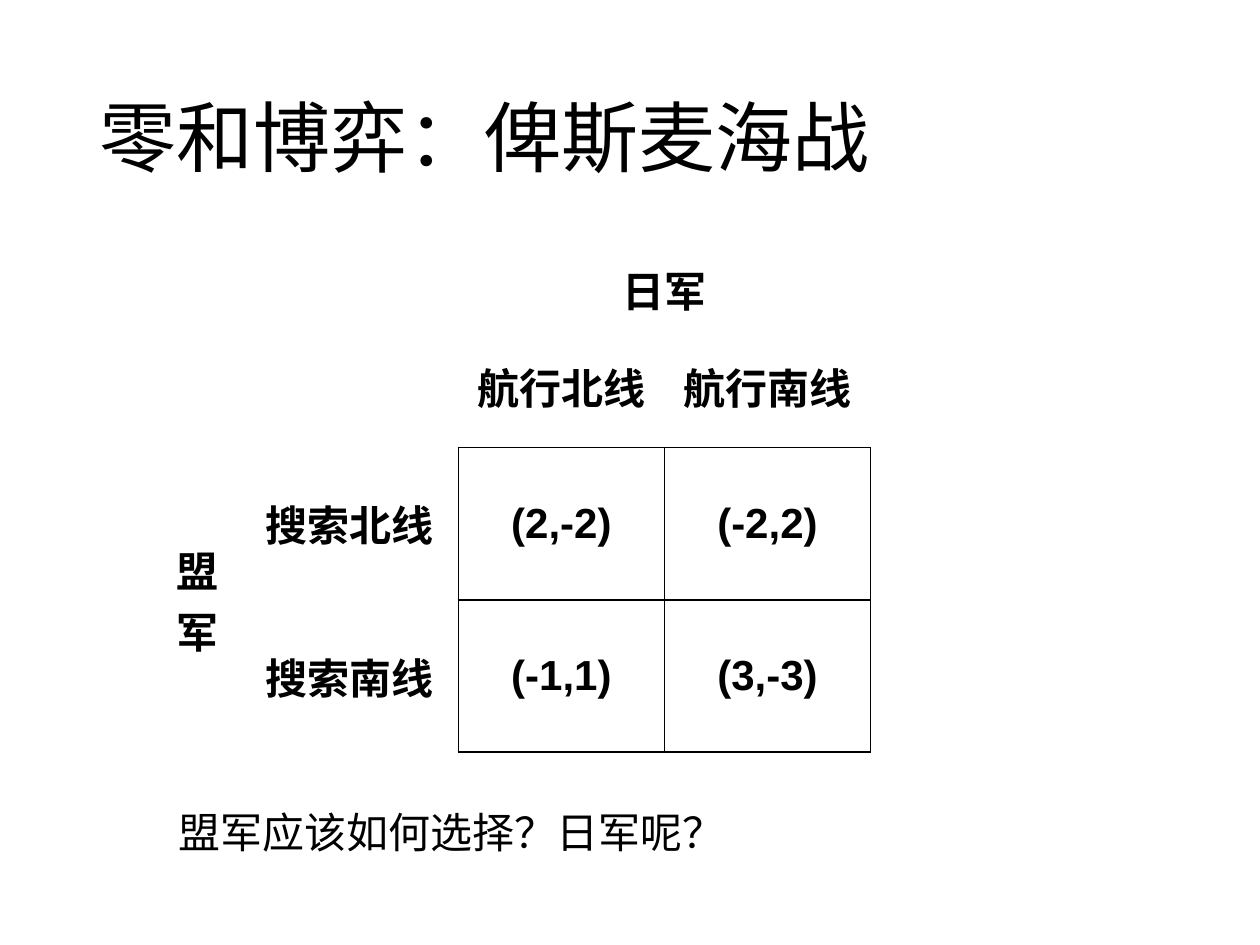
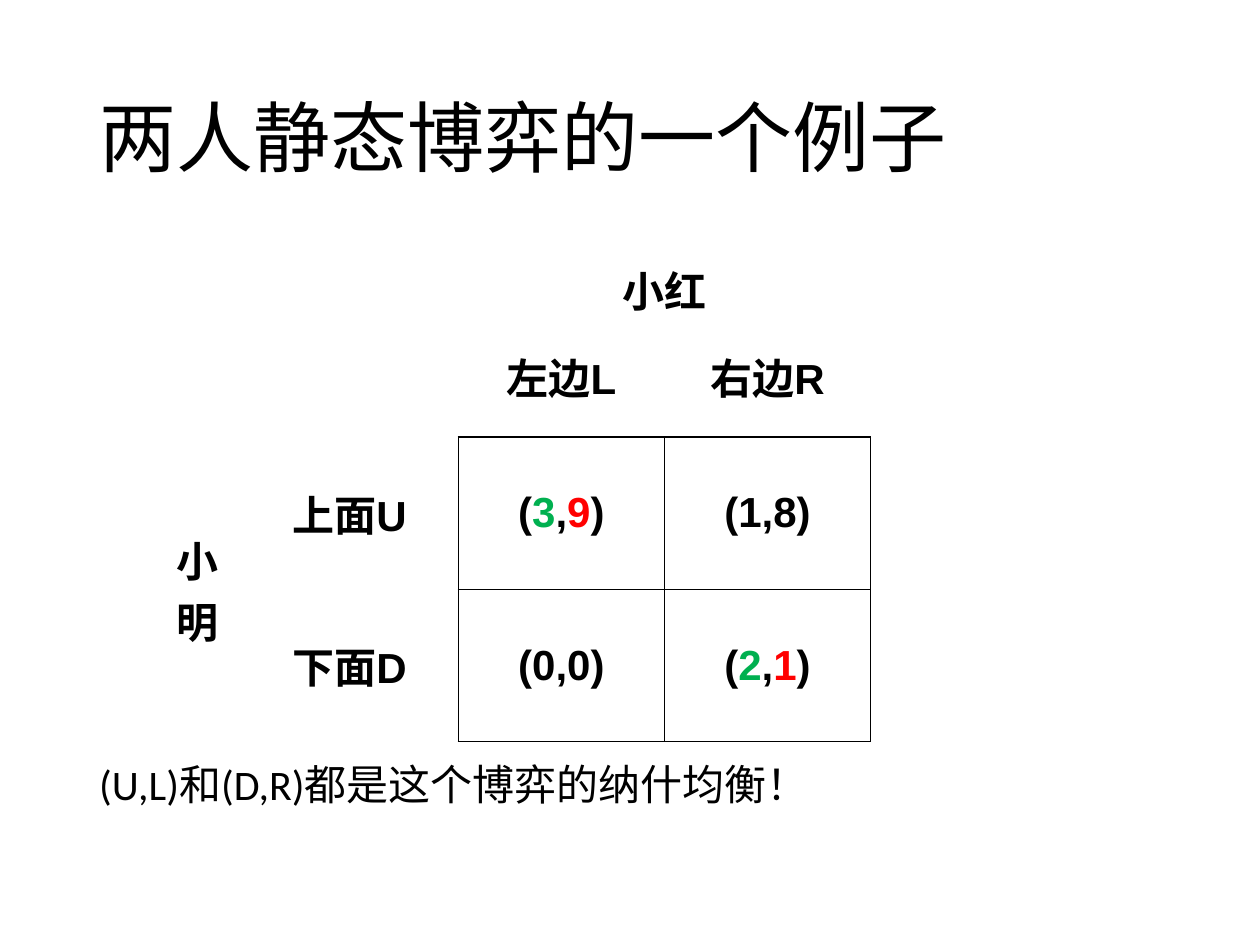
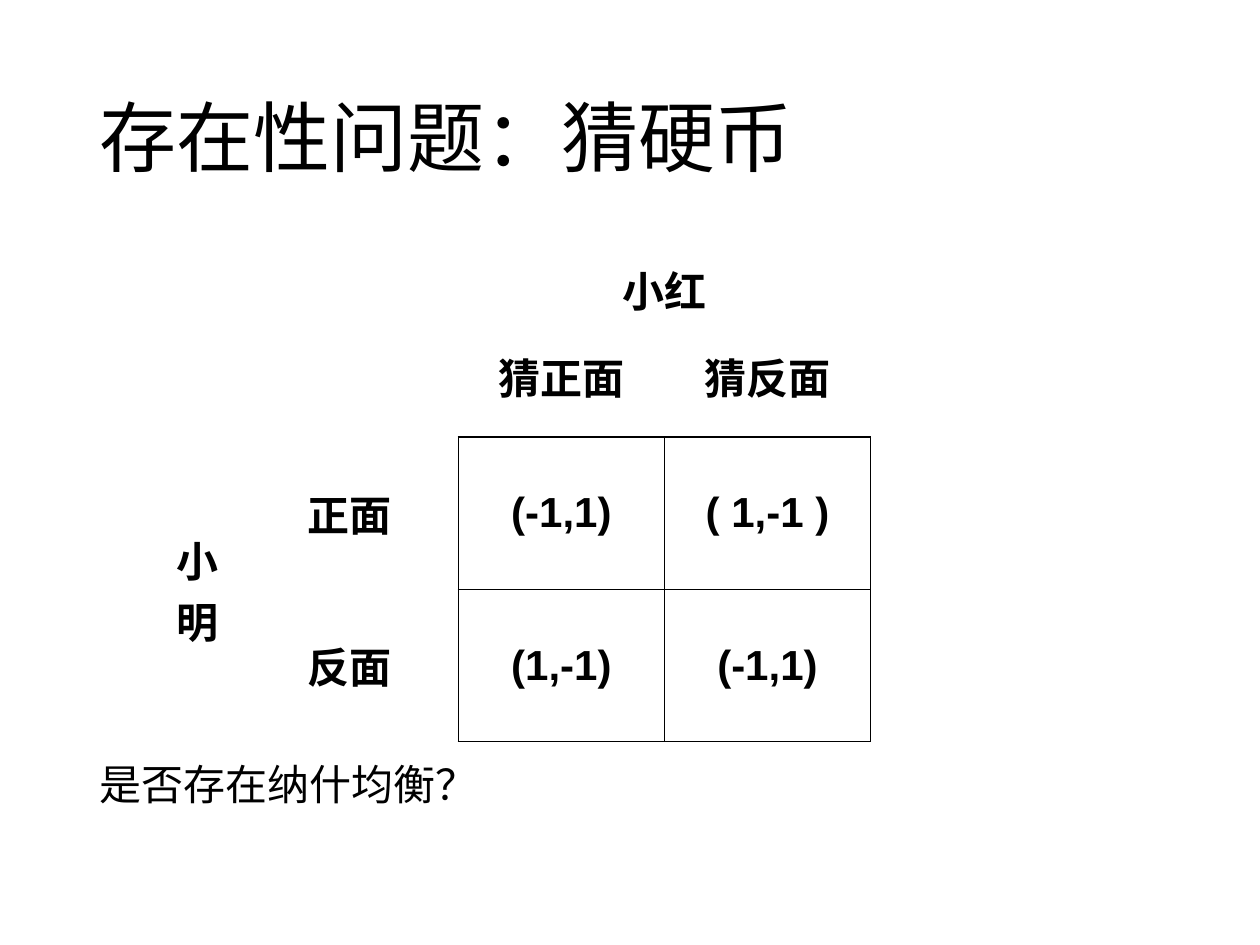
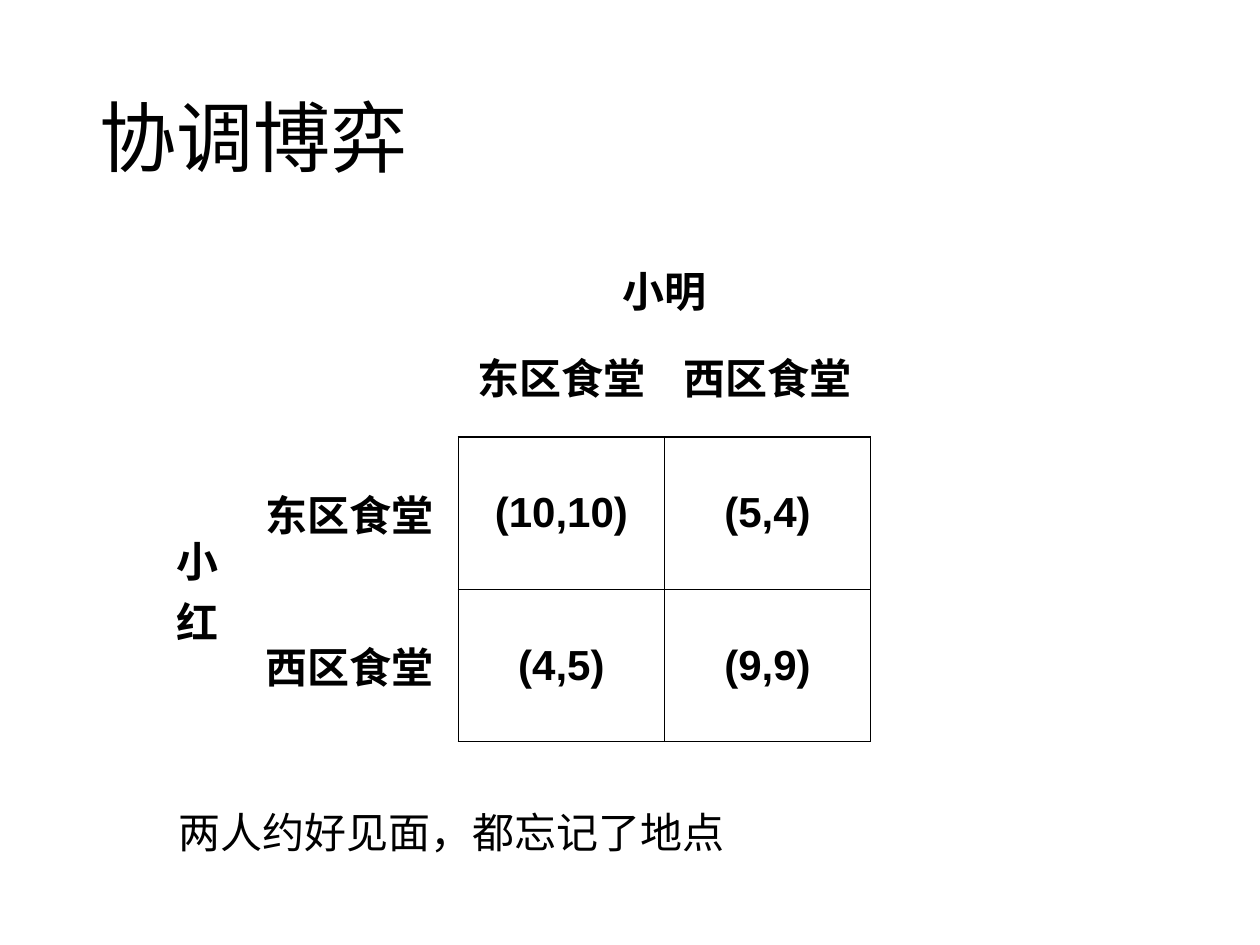
from collections import namedtuple

from lxml import etree
from pptx import Presentation
from pptx.dml.color import RGBColor
from pptx.enum.text import MSO_ANCHOR, MSO_AUTO_SIZE, PP_ALIGN
from pptx.oxml.ns import qn
from pptx.util import Cm, Pt

MIDDLE = MSO_ANCHOR.MIDDLE
TOP = MSO_ANCHOR.TOP
CENTER = PP_ALIGN.CENTER
GROW = MSO_AUTO_SIZE.SHAPE_TO_FIT_TEXT
FIXED = MSO_AUTO_SIZE.NONE

COLORS = {
    "background": "FFFFFF",
    "text": "000000",
    "row_player": "00B050",
    "column_player": "FF0000",
}
BODY_FONT = "Calibri"
MATRIX_FONT = "Arial"
BODY_SIZE = 24
TITLE_SIZE = 44

# Lengths in centimetres
Box = namedtuple("Box", "left top width height")
SLIDE_WIDTH, SLIDE_HEIGHT = 25.4, 19.05
TITLE_BOX = Box(1.75, 1.02, 21.89, 3.68)
MATRIX_BOX = Box(3.12, 5.08, 14.43, 9.86)
INDENTED_NOTE = Box(3.35, 16.13, 11.63, 1.27)
WIDE_NOTE = Box(1.75, 15.16, 20.83, 1.27)
PLAYER_WIDTH, STRATEGY_WIDTH = 1.73, 4.39
ROW_HEIGHTS = (0.61, 2.46, 3.07, 3.07)

Game = namedtuple(
    "Game", "title row_player column_player rows columns payoffs note note_box")


def equilibrium(row_payoff, column_payoff):
    """Runs of a payoff pair with each player's payoff in that player's colour."""
    return [("(", "text"), (row_payoff, "row_player"), (",", "text"),
            (column_payoff, "column_player"), (")", "text")]


GAMES = [
    Game("零和博弈：俾斯麦海战", "盟军", "日军",
         ("搜索北线", "搜索南线"), ("航行北线", "航行南线"),
         (("(2,-2)", "(-2,2)"), ("(-1,1)", "(3,-3)")),
         "盟军应该如何选择？日军呢？", INDENTED_NOTE),
    Game("两人静态博弈的一个例子", "小明", "小红",
         ("上面U", "下面D"), ("左边L", "右边R"),
         ((equilibrium("3", "9"), "(1,8)"), ("(0,0)", equilibrium("2", "1"))),
         "(U,L)和(D,R)都是这个博弈的纳什均衡！", WIDE_NOTE),
    Game("存在性问题：猜硬币", "小明", "小红",
         ("正面", "反面"), ("猜正面", "猜反面"),
         (("(-1,1)", "( 1,-1 )"), ("(1,-1)", "(-1,1)")),
         "是否存在纳什均衡？", WIDE_NOTE),
    Game("协调博弈", "小红", "小明",
         ("东区食堂", "西区食堂"), ("东区食堂", "西区食堂"),
         (("(10,10)", "(5,4)"), ("(4,5)", "(9,9)")),
         "两人约好见面，都忘记了地点", INDENTED_NOTE),
]


def add_run(paragraph, text, font_name, size, bold=False, color="text"):
    run = paragraph.add_run()
    run.text = text
    run.font.name = font_name
    run.font.size = Pt(size)
    run.font.bold = bold
    run.font.color.rgb = RGBColor.from_string(COLORS[color])


def add_text(slide, box, text, size, anchor=TOP, auto_size=GROW, wrap=True,
             line_spacing=None):
    shape = slide.shapes.add_textbox(*map(Cm, box))
    frame = shape.text_frame
    frame.word_wrap = wrap
    frame.auto_size = auto_size
    frame.vertical_anchor = anchor
    paragraph = frame.paragraphs[0]
    paragraph.line_spacing = line_spacing
    add_run(paragraph, text, BODY_FONT, size)


def set_borders(cell, sides):
    """Draw black lines on the given sides, named by letter in the order LRTB."""
    properties = cell._tc.get_or_add_tcPr()
    for side in sides:
        line = etree.SubElement(properties, qn(f"a:ln{side}"), w=str(Pt(1)))
        fill = etree.SubElement(line, qn("a:solidFill"))
        etree.SubElement(fill, qn("a:srgbClr"), val=COLORS["text"])


def fill_cell(cell, content, sides=""):
    """Write a string, or a list of (text, colour) runs, centred in the cell."""
    set_borders(cell, sides)
    cell.vertical_anchor = MIDDLE
    paragraph = cell.text_frame.paragraphs[0]
    paragraph.alignment = CENTER
    runs = [(content, "text")] if isinstance(content, str) else content
    for text, color in runs:
        add_run(paragraph, text, MATRIX_FONT, BODY_SIZE, True, color)


def add_payoff_matrix(slide, box, game):
    frame = slide.shapes.add_table(4, 4, *map(Cm, box))
    table = frame.table
    table.first_row = table.horz_banding = False
    payoff_width = (box.width - PLAYER_WIDTH - STRATEGY_WIDTH) / 2
    widths = (PLAYER_WIDTH, STRATEGY_WIDTH, payoff_width, payoff_width)
    for column, width in zip(table.columns, widths):
        column.width = Cm(width)
    for row, height in zip(table.rows, ROW_HEIGHTS):
        row.height = Cm(height)
    frame.height = Cm(box.height)

    table.cell(0, 2).merge(table.cell(0, 3))
    table.cell(2, 0).merge(table.cell(3, 0))
    fill_cell(table.cell(0, 2), game.column_player)
    fill_cell(table.cell(2, 0), game.row_player)
    for index, strategy in enumerate(game.columns, start=2):
        fill_cell(table.cell(1, index), strategy, "B")
    for row, (strategy, payoffs) in enumerate(zip(game.rows, game.payoffs), start=2):
        fill_cell(table.cell(row, 1), strategy, "R")
        for column, payoff in enumerate(payoffs, start=2):
            fill_cell(table.cell(row, column), payoff, "LRTB")
    for cell in table.iter_cells():
        cell.fill.background()


def add_game_slide(presentation, game):
    slide = presentation.slides.add_slide(presentation.slide_layouts[6])
    background = slide.background.fill
    background.solid()
    background.fore_color.rgb = RGBColor.from_string(COLORS["background"])
    add_text(slide, TITLE_BOX, game.title, TITLE_SIZE, MIDDLE, FIXED,
             line_spacing=0.9)
    add_payoff_matrix(slide, MATRIX_BOX, game)
    add_text(slide, game.note_box, game.note, BODY_SIZE,
             wrap=game.note_box is WIDE_NOTE)


def main():
    presentation = Presentation()
    presentation.slide_width = Cm(SLIDE_WIDTH)
    presentation.slide_height = Cm(SLIDE_HEIGHT)
    for game in GAMES:
        add_game_slide(presentation, game)
    presentation.save("out.pptx")


if __name__ == "__main__":
    main()
